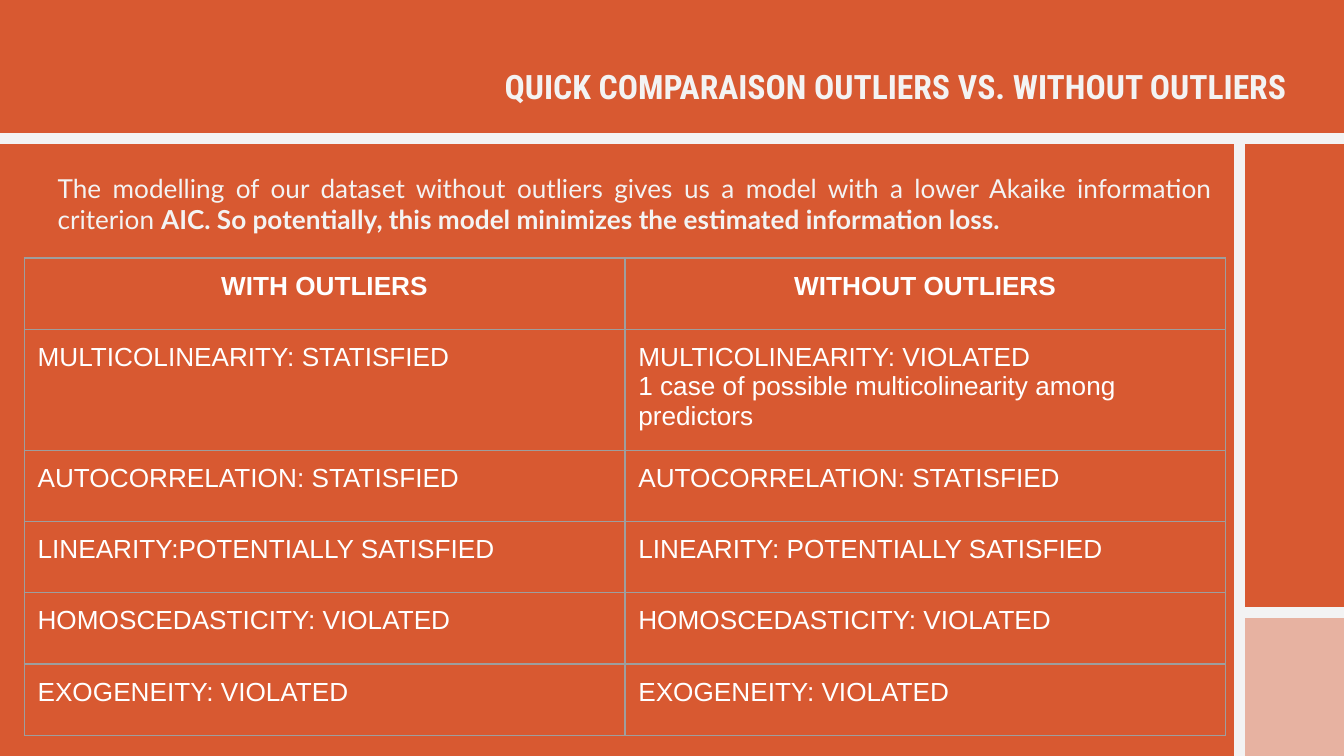
from typing import NamedTuple

from lxml.etree import SubElement
from pptx import Presentation
from pptx.dml.color import RGBColor
from pptx.enum.shapes import MSO_CONNECTOR, MSO_SHAPE
from pptx.enum.text import MSO_ANCHOR, PP_ALIGN
from pptx.oxml.ns import qn
from pptx.util import Inches, Pt

ORANGE, PALE, WHITE, GREY = "D85931", "F3F3F3", "FFFFFF", "9E9E9E"


class Rule(NamedTuple):
    x1: float
    y1: float
    x2: float
    y2: float


class Row(NamedTuple):
    height: float
    with_outliers: str
    without_outliers: str


RULES = [
    Rule(10.01, 1.03, -0.01, 1.03),
    Rule(9.22, 1.03, 9.22, 5.67),
    Rule(10.01, 4.56, 9.23, 4.56),
]
ROWS = [
    Row(0.53, "WITH OUTLIERS", "WITHOUT OUTLIERS"),
    Row(0.9, "MULTICOLINEARITY: STATISFIED",
        "MULTICOLINEARITY: VIOLATED\n"
        "1 case of possible multicolinearity among predictors"),
    Row(0.53, "AUTOCORRELATION: STATISFIED", "AUTOCORRELATION: STATISFIED"),
    Row(0.53, "LINEARITY:POTENTIALLY SATISFIED",
        "LINEARITY: POTENTIALLY SATISFIED"),
    Row(0.53, "HOMOSCEDASTICITY: VIOLATED", "HOMOSCEDASTICITY: VIOLATED"),
    Row(0.53, "EXOGENEITY: VIOLATED", "EXOGENEITY: VIOLATED"),
]


def rgb(value: str) -> RGBColor:
    return RGBColor.from_string(value)


def add_run(p, text: str, *, font="Arial", size=14, color=WHITE, bold=False):
    r = p.add_run()
    r.text = text
    r.font.name, r.font.size, r.font.bold = font, Pt(size), bold
    r.font.color.rgb = rgb(color)


def add_box(slide, x: float, y: float, w: float, h: float, align):
    """Add a text box and return its first paragraph."""
    tf = slide.shapes.add_textbox(
        Inches(x), Inches(y), Inches(w), Inches(h)).text_frame
    tf.word_wrap = True
    tf.vertical_anchor = MSO_ANCHOR.TOP
    tf.margin_left = tf.margin_right = Inches(0.1)
    tf.margin_top = tf.margin_bottom = Inches(0.1)
    p = tf.paragraphs[0]
    p.alignment = align
    return p


def add_rule(slide, rule: Rule):
    line = slide.shapes.add_connector(
        MSO_CONNECTOR.STRAIGHT, *(Inches(v) for v in rule))
    line.line.color.rgb = rgb(PALE)
    line.line.width = Pt(6)
    SubElement(line._element.spPr, qn("a:effectLst"))


def add_corner(slide):
    sp = slide.shapes.add_shape(
        MSO_SHAPE.RECTANGLE, Inches(9.22), Inches(4.56), Inches(0.79), Inches(1.07))
    sp.shadow.inherit = False
    sp.line.fill.background()
    sp.fill.solid()
    sp.fill.fore_color.rgb = rgb(PALE)
    color = sp._element.spPr.find(qn("a:solidFill"))[0]
    SubElement(color, qn("a:alpha"), val="58000")


def set_borders(cell):
    tc_pr = cell._tc.get_or_add_tcPr()
    for i, side in enumerate(("lnL", "lnR", "lnT", "lnB")):
        ln = SubElement(tc_pr, qn(f"a:{side}"), w=str(Pt(0.75)))
        fill = SubElement(ln, qn("a:solidFill"))
        SubElement(fill, qn("a:srgbClr"), val=GREY)
        tc_pr.remove(ln)
        tc_pr.insert(i, ln)


def fill_cell(cell, text: str, header: bool):
    cell.fill.background()
    cell.margin_left = cell.margin_right = Inches(0.1)
    cell.margin_top = cell.margin_bottom = Inches(0.1)
    tf = cell.text_frame
    for i, part in enumerate(text.split("\n")):
        p = tf.add_paragraph() if i else tf.paragraphs[0]
        p.alignment = PP_ALIGN.CENTER if header else PP_ALIGN.LEFT
        add_run(p, part, bold=header)
    set_borders(cell)


def add_comparison(slide, rows: list[Row]):
    height = sum(row.height for row in rows)
    table = slide.shapes.add_table(
        len(rows), 2, Inches(0.18), Inches(1.92), Inches(8.94), Inches(height)).table
    table.first_row = table.horz_banding = False
    for i, row in enumerate(rows):
        table.rows[i].height = Inches(row.height)
        for j, text in enumerate((row.with_outliers, row.without_outliers)):
            fill_cell(table.cell(i, j), text, header=i == 0)


def main():
    prs = Presentation()
    prs.slide_width = Inches(10)
    prs.slide_height = Inches(10 * 9 / 16)
    slide = prs.slides.add_slide(prs.slide_layouts[6])
    slide.background.fill.solid()
    slide.background.fill.fore_color.rgb = rgb(ORANGE)

    # Frame
    for rule in RULES[:2]:
        add_rule(slide, rule)
    add_corner(slide)
    add_rule(slide, RULES[2])

    # Introduction
    p = add_box(slide, 0.33, 1.18, 8.79, 4.28, PP_ALIGN.JUSTIFY)
    add_run(p, "The modelling of our dataset without outliers gives us a model "
               "with a lower Akaike information criterion ",
            font="Lato", color=PALE)
    add_run(p, "AIC. So potentially, this model minimizes the estimated "
               "information loss.", font="Lato", color=PALE, bold=True)

    # Title
    p = add_box(slide, 3.56, 0.39, 6.17, 0.45, PP_ALIGN.RIGHT)
    add_run(p, "QUICK COMPARAISON OUTLIERS VS. WITHOUT OUTLIERS ",
            font="Roboto Condensed", size=18, color=PALE, bold=True)

    # Comparison table
    add_comparison(slide, ROWS)
    prs.save("out.pptx")


if __name__ == "__main__":
    main()
